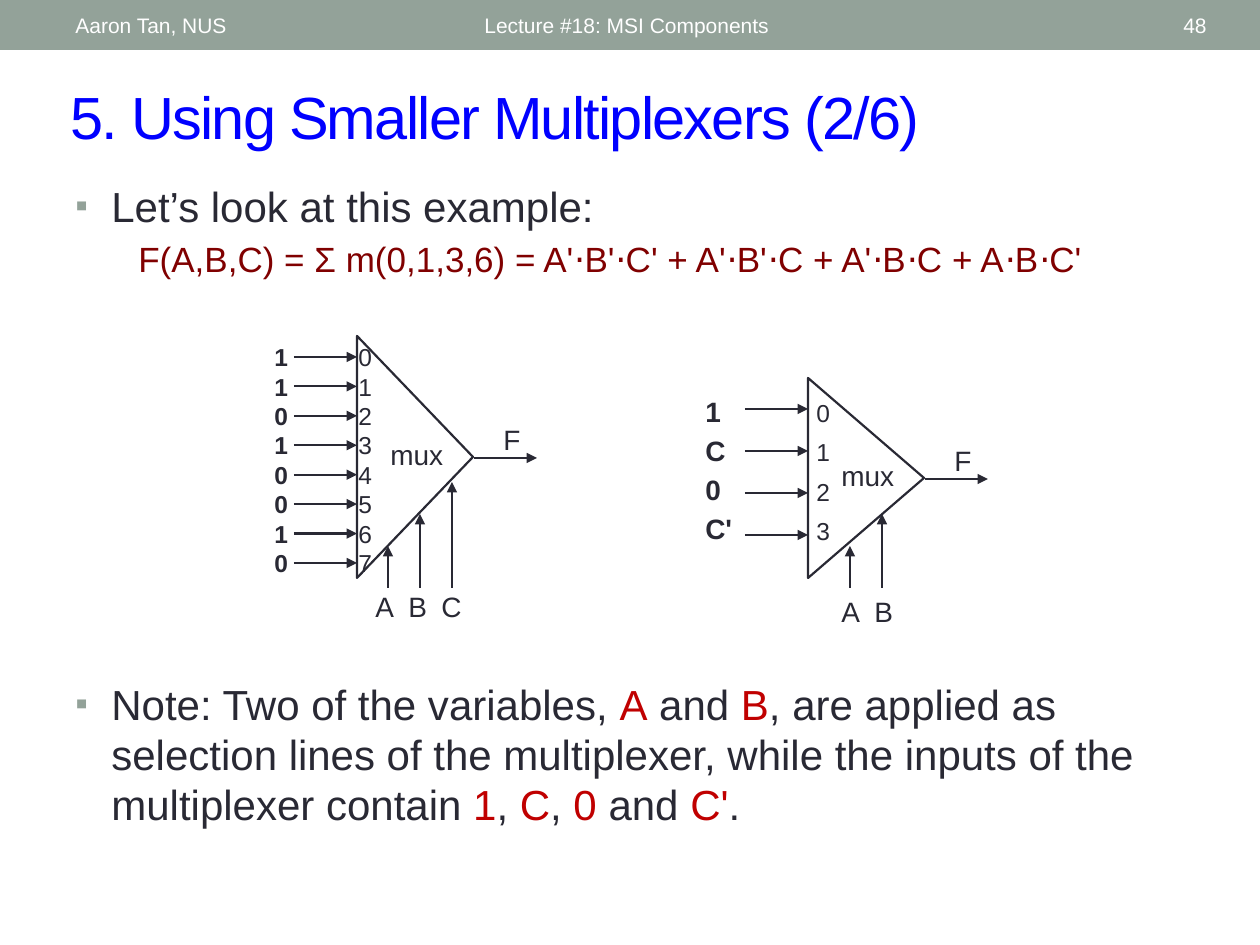
from dataclasses import dataclass

from lxml.etree import SubElement
from pptx import Presentation
from pptx.dml.color import RGBColor
from pptx.enum.shapes import MSO_CONNECTOR, MSO_SHAPE
from pptx.enum.text import MSO_ANCHOR, PP_ALIGN
from pptx.oxml.ns import qn
from pptx.util import Emu, Pt

PX_PER_INCH = 126
EMU_PER_PX = 914400 / PX_PER_INCH

SAGE = RGBColor(0x93, 0xA2, 0x99)
WHITE = RGBColor(0xFF, 0xFF, 0xFF)
BLUE = RGBColor(0x00, 0x00, 0xFF)
INK = RGBColor(0x29, 0x29, 0x34)
MAROON = RGBColor(0x80, 0x00, 0x00)
RED = RGBColor(0xC0, 0x00, 0x00)

ARROW_LENGTH = 63
SELECT_STEP = 32
SELECT_BOTTOM = 588
SELECT_FIRST_TIP = 546
SELECT_TAB = 33
BULLET_INDENT = 36
FORMULA_INDENT = 63


@dataclass(frozen=True)
class Box:
    left: int
    top: int
    width: int
    height: int


@dataclass(frozen=True)
class Column:
    """A stack of one-line labels beside the multiplexer inputs."""
    texts: str
    box: Box
    size: int
    bold: bool = False
    gap: float = 0


@dataclass(frozen=True)
class Multiplexer:
    body: Box
    first_input: int
    last_input: int
    data: Column
    ports: Column
    selectors: str
    first_selector: int
    selector_box: Box


MULTIPLEXERS = (
    Multiplexer(
        body=Box(357, 336, 116, 242), first_input=357, last_input=563,
        data=Column("1 1 0 1 0 0 1 0", Box(262, 336, 53, 251), 14, bold=True),
        ports=Column("0 1 2 3 4 5 6 7", Box(346, 336, 53, 247), 14),
        selectors="A B C", first_selector=388,
        selector_box=Box(363, 583, 126, 47)),
    Multiplexer(
        body=Box(808, 378, 116, 200), first_input=409, last_input=535,
        data=Column("1 C 0 C'", Box(693, 388, 63, 168), 16, bold=True, gap=3.2),
        ports=Column("0 1 2 3", Box(804, 392, 53, 165), 14, gap=5.6),
        selectors="A B", first_selector=850,
        selector_box=Box(829, 588, 95, 47)),
)

HEADER = (
    ("Lecture #18: MSI Components", Box(472, 3, 567, 45), PP_ALIGN.LEFT),
    ("48", Box(1099, 3, 120, 45), PP_ALIGN.RIGHT),
    ("Aaron Tan, NUS", Box(63, 3, 399, 45), PP_ALIGN.LEFT),
)

NOTE = (
    ("Note: Two of the variables, ", INK), ("A", RED), (" and ", INK), ("B", RED),
    (", are applied as selection lines of the multiplexer, while the inputs "
     "of the multiplexer contain ", INK),
    ("1", RED), (", ", INK), ("C", RED), (", ", INK), ("0", RED),
    (" and ", INK), ("C'", RED), (".", INK),
)


def px(length: float) -> Emu:
    return Emu(round(length * EMU_PER_PX))


def place(box: Box) -> tuple[Emu, ...]:
    return px(box.left), px(box.top), px(box.width), px(box.height)


def add_text_frame(shapes, box: Box, **formats):
    frame = shapes.add_textbox(*place(box)).text_frame
    for name, value in ({"word_wrap": True} | formats).items():
        setattr(frame, name, value)
    return frame


def add_run(paragraph, text: str, size: int, color: RGBColor = INK, bold: bool = False):
    run = paragraph.add_run()
    run.text = text
    formats = {"name": "Arial", "size": Pt(size), "bold": bold}
    for name, value in formats.items():
        setattr(run.font, name, value)
    run.font.color.rgb = color
    return run


def add_label(shapes, text: str, box: Box, size: int = 16, **formats) -> None:
    frame = add_text_frame(shapes, box, **formats)
    add_run(frame.paragraphs[0], text, size)


def add_column(shapes, column: Column) -> None:
    frame = add_text_frame(shapes, column.box)
    for index, text in enumerate(column.texts.split()):
        paragraph = frame.add_paragraph() if index else frame.paragraphs[0]
        if index:
            paragraph.space_before = Pt(column.gap)
        add_run(paragraph, text, column.size, bold=column.bold)


def add_arrow(shapes, start: tuple[float, float], end: tuple[float, float]) -> None:
    arrow = shapes.add_connector(
        MSO_CONNECTOR.STRAIGHT, *(px(value) for value in start + end))
    arrow.line.color.rgb = INK
    arrow.line.width = Pt(1.25)
    SubElement(arrow.line._get_or_add_ln(), qn("a:tailEnd"), type="triangle")
    SubElement(arrow._element.spPr, qn("a:effectLst"))


def add_triangle(shapes, body: Box) -> None:
    """Draw a triangle pointing right that fills the body box."""
    shift = (body.height - body.width) // 2
    upright = Box(body.left - shift, body.top + shift, body.height, body.width)
    triangle = shapes.add_shape(MSO_SHAPE.ISOSCELES_TRIANGLE, *place(upright))
    triangle.rotation = 90
    triangle.shadow.inherit = False
    triangle.fill.background()
    triangle.line.color.rgb = INK
    triangle.line.width = Pt(1.25)


def add_selector_names(shapes, mux: Multiplexer) -> None:
    paragraph = add_text_frame(shapes, mux.selector_box).paragraphs[0]
    names = mux.selectors.split()
    tabs = SubElement(paragraph._p.get_or_add_pPr(), qn("a:tabLst"))
    for index in range(1, len(names)):
        SubElement(tabs, qn("a:tab"), pos=str(px(SELECT_TAB * index)), algn="l")
    add_run(paragraph, "\t".join(names), 16)


def add_multiplexer(slide, mux: Multiplexer) -> None:
    shapes = slide.shapes.add_group_shape().shapes
    left, middle = mux.body.left, mux.body.top + mux.body.height // 2
    right = left + mux.body.width + 1
    add_triangle(shapes, mux.body)

    last = len(mux.data.texts.split()) - 1
    step = (mux.last_input - mux.first_input) / last
    for index in range(last + 1):
        y = mux.first_input + step * index
        add_arrow(shapes, (left - ARROW_LENGTH, y), (left, y))
    add_arrow(shapes, (right, middle + 1), (right + ARROW_LENGTH, middle + 1))
    for index in range(len(mux.selectors.split())):
        offset = SELECT_STEP * index
        x = mux.first_selector + offset
        add_arrow(shapes, (x, SELECT_BOTTOM), (x, SELECT_FIRST_TIP - offset))

    add_column(shapes, mux.data)
    add_column(shapes, mux.ports)
    add_selector_names(shapes, mux)
    add_label(shapes, "mux", Box(left + 21, middle - 26, 95, 47))
    add_label(shapes, "F", Box(left + 134, middle - 41, 44, 46), word_wrap=False)


def add_bullet(paragraph) -> None:
    properties = paragraph._p.get_or_add_pPr()
    properties.set("marL", str(px(BULLET_INDENT)))
    properties.set("indent", str(-px(BULLET_INDENT)))
    color = SubElement(properties, qn("a:buClr"))
    SubElement(color, qn("a:srgbClr"), val=str(SAGE))
    SubElement(properties, qn("a:buSzPct"), val="85000")
    SubElement(properties, qn("a:buFont"), typeface="Arial")
    SubElement(properties, qn("a:buChar"), char="▪")


def add_header(slide) -> None:
    bar = slide.shapes.add_shape(MSO_SHAPE.RECTANGLE, *place(Box(0, 0, 1260, 50)))
    bar.shadow.inherit = False
    bar.fill.solid()
    bar.fill.fore_color.rgb = SAGE
    bar.line.fill.background()
    for text, box, alignment in HEADER:
        frame = add_text_frame(slide.shapes, box, vertical_anchor=MSO_ANCHOR.MIDDLE)
        frame.paragraphs[0].alignment = alignment
        add_run(frame.paragraphs[0], text, 12, WHITE)


def add_body_text(slide) -> None:
    title = add_text_frame(
        slide.shapes, Box(58, 72, 1160, 88), vertical_anchor=MSO_ANCHOR.MIDDLE)
    run = add_run(title.paragraphs[0], "5. Using Smaller Multiplexers (2/6)", 34, BLUE)
    run.font._element.set("spc", "-100")

    example = add_text_frame(slide.shapes, Box(63, 174, 1134, 141))
    add_bullet(example.paragraphs[0])
    add_run(example.paragraphs[0], "Let’s look at this example:", 24)
    formula = example.add_paragraph()
    formula._p.get_or_add_pPr().set("marL", str(px(FORMULA_INDENT)))
    formula.space_before = Pt(4)
    add_run(formula, "F(A,B,C) = Σ m(0,1,3,6) = A'⋅B'⋅C' + A'⋅B'⋅C + A'⋅B⋅C + A⋅B⋅C'",
            20, MAROON)

    note = add_text_frame(slide.shapes, Box(63, 672, 1134, 179)).paragraphs[0]
    add_bullet(note)
    for text, color in NOTE:
        add_run(note, text, 24, color)


def main() -> None:
    presentation = Presentation()
    presentation.slide_width, presentation.slide_height = px(1260), px(945)
    slide = presentation.slides.add_slide(presentation.slide_layouts[6])
    add_header(slide)
    add_body_text(slide)
    for mux in MULTIPLEXERS:
        add_multiplexer(slide, mux)
    presentation.save("out.pptx")


if __name__ == "__main__":
    main()
